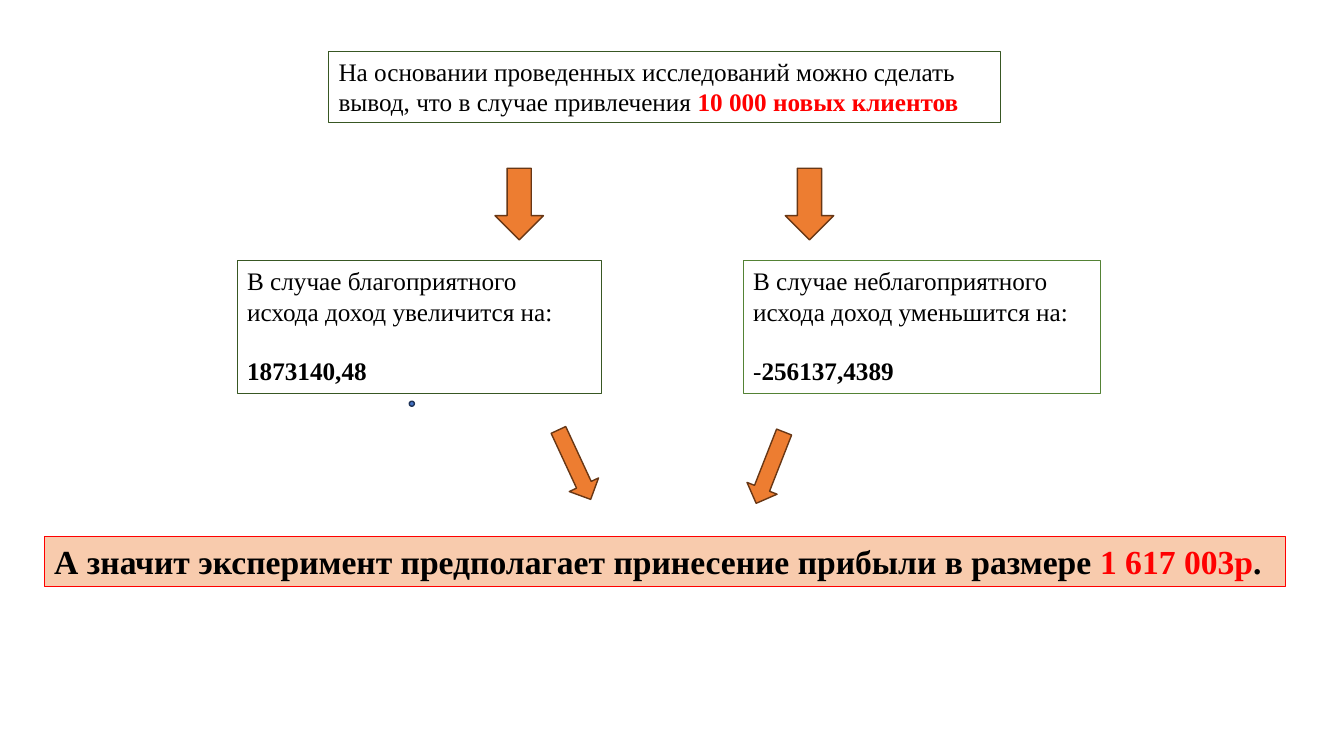
from pptx import Presentation
from pptx.dml.color import RGBColor
from pptx.enum.shapes import MSO_SHAPE as Shape
from pptx.enum.text import MSO_ANCHOR as Anchor, PP_ALIGN as Align
from pptx.util import Inches, Pt

BLACK = RGBColor(0x00, 0x00, 0x00)
RED = RGBColor(0xFF, 0x00, 0x00)
DARK_GREEN = RGBColor(0x38, 0x57, 0x23)
GREEN = RGBColor(0x54, 0x82, 0x35)
PEACH = RGBColor(0xF8, 0xCB, 0xAD)
ORANGE = RGBColor(0xED, 0x7D, 0x31)
BROWN = RGBColor(0x68, 0x37, 0x15)
BLUE = RGBColor(0x44, 0x72, 0xC4)
NAVY = RGBColor(0x1E, 0x32, 0x56)

deck = Presentation()
deck.slide_width, deck.slide_height = Inches(13.33), Inches(7.5)
slide = deck.slides.add_slide(deck.slide_layouts[6])
COL, ROW = deck.slide_width / 100, deck.slide_height / 100


def add_figure(kind, left, top, width, height, line, fill=None, weight=1):
    """Place a shape measured in hundredths of the slide's width and height."""
    figure = slide.shapes.add_shape(
        kind, int(left * COL), int(top * ROW), int(width * COL), int(height * ROW))
    figure.shadow.inherit = False
    figure.line.color.rgb = line
    figure.line.width = Pt(weight)
    if fill is None:
        figure.fill.background()
    else:
        figure.fill.solid()
        figure.fill.fore_color.rgb = fill
    return figure


def write(paragraph, text, size=18, bold=False, color=BLACK):
    paragraph.alignment = Align.LEFT
    run = paragraph.add_run()
    run.text = text
    run.font.name = "Times New Roman"
    run.font.size = Pt(size)
    run.font.bold = bold
    run.font.color.rgb = color


# Premise and conclusion
premise = add_figure(Shape.RECTANGLE, 24.45, 6.8, 50, 9.47, DARK_GREEN, weight=0.75)
premise_line = premise.text_frame.paragraphs[0]
write(premise_line, "На основании проведенных исследований можно сделать вывод, "
                    "что в случае привлечения ")
write(premise_line, "10 000 новых клиентов", bold=True, color=RED)

conclusion = add_figure(Shape.RECTANGLE, 3.3, 70.95, 92.35, 6.7, RED, PEACH, 0.75)
conclusion_line = conclusion.text_frame.paragraphs[0]
write(conclusion_line, "А значит эксперимент предполагает принесение прибыли в размере ",
      size=24, bold=True)
write(conclusion_line, "1 617 003р", size=24, bold=True, color=RED)
write(conclusion_line, ".", size=24, bold=True)

# The two outcomes
boxes = [premise, conclusion]
for left, width, border, outcome, sign, amount in [
    (17.65, 27.1, DARK_GREEN, "В случае благоприятного исхода доход увеличится на:",
     "", "1873140,48"),
    (55.3, 26.6, GREEN, "В случае неблагоприятного исхода доход уменьшится на:",
     "-", "256137,4389"),
]:
    box = add_figure(Shape.RECTANGLE, left, 34.5, width, 17.5, border, weight=0.75)
    write(box.text_frame.paragraphs[0], outcome)
    amount_line = box.text_frame.add_paragraph()
    amount_line.space_before = Pt(21)
    if sign:
        write(amount_line, sign)
    write(amount_line, amount, bold=True)
    boxes.append(box)

for box in boxes:
    box.text_frame.word_wrap = True
    box.text_frame.vertical_anchor = Anchor.TOP

add_figure(Shape.OVAL, 30.45, 53.07, 0.38, 0.67, NAVY, BLUE)

# Arrows: down to the outcomes, then slanting in to the conclusion
for left, top, width, height, angle in [
    (36.83, 22.27, 3.6, 9.47, 0),
    (58.43, 22.27, 3.6, 9.47, 0),
    (56.1, 56.8, 2.4, 10.13, 21.4),
    (41.55, 56.4, 2.4, 10.13, 335.1),
]:
    arrow = add_figure(Shape.DOWN_ARROW, left, top, width, height, BROWN, ORANGE)
    arrow.rotation = angle

deck.save("out.pptx")
